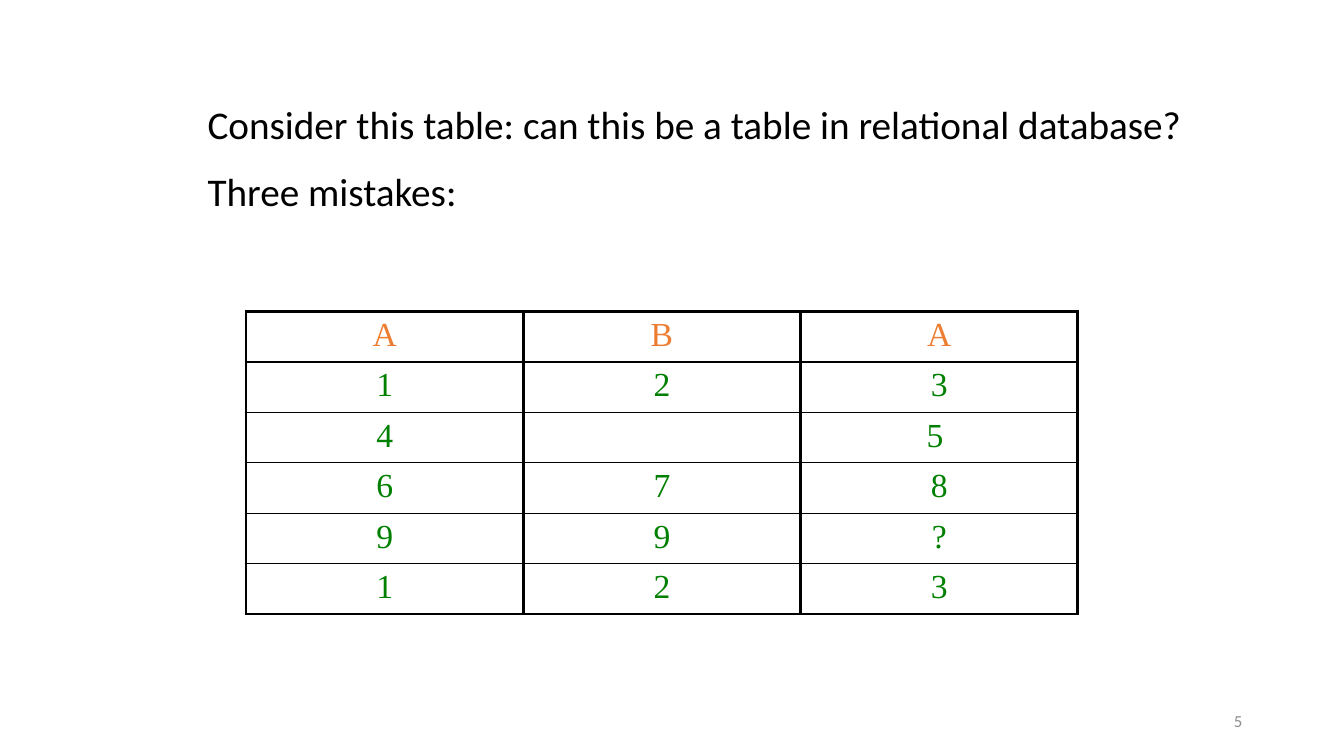
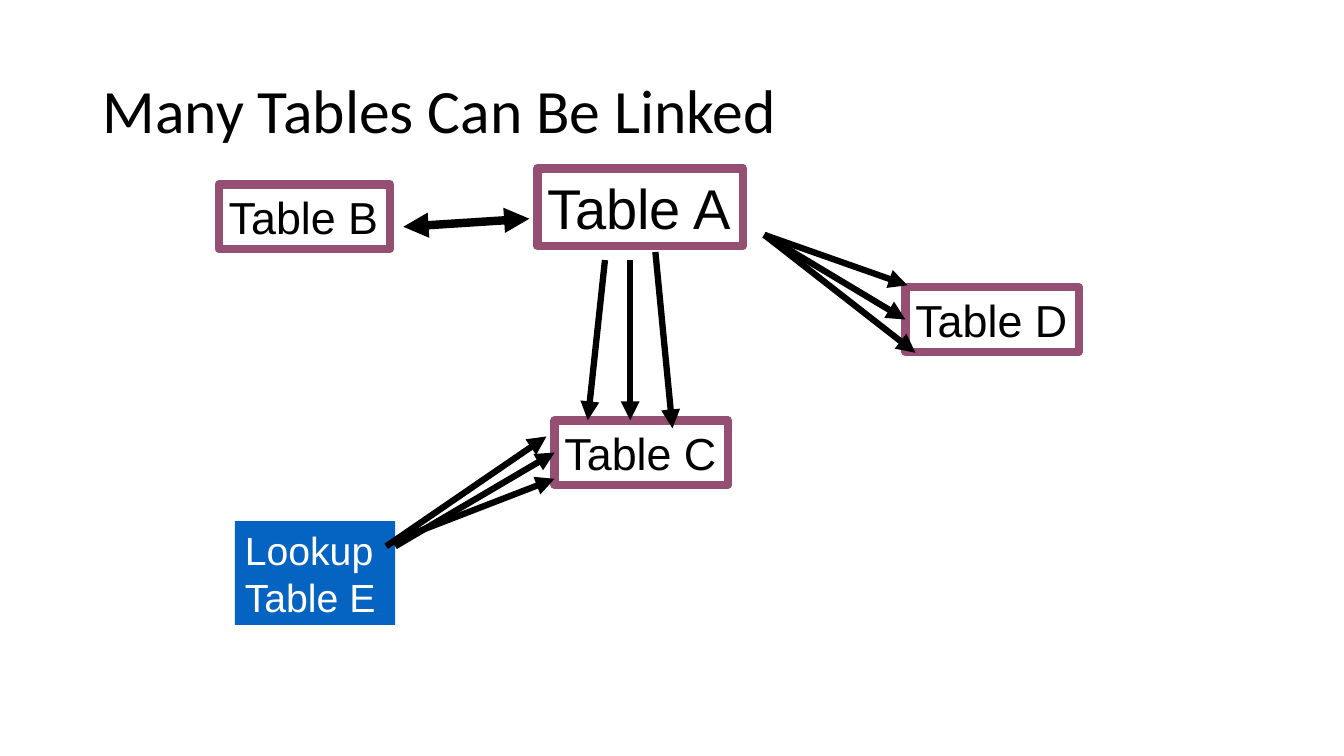
from dataclasses import dataclass
from typing import Optional

import pptx
import pptx.dml.color
import pptx.enum.shapes
import pptx.enum.text
import pptx.oxml
import pptx.oxml.ns
import pptx.util

EMU_PER_PX = 9144  # 100 px to the inch
COLOURS = {
    "black": "000000",
    "white": "FFFFFF",
    "grey": "8C8C8C",
    "orange": "ED7D31",
    "green": "008000",
    "plum": "954F72",
    "blue": "0563C1",
}
BODY_FONT, TABLE_FONT, DIAGRAM_FONT = "Calibri", "Times New Roman", "Arial"
THICK, THIN = 2.25, 1
LEFT_SIDE = 1

ALIGN = pptx.enum.text.PP_ALIGN
ANCHOR = pptx.enum.text.MSO_ANCHOR


@dataclass(frozen=True)
class Style:
    size: int
    colour: str = "black"
    font: str = BODY_FONT
    align: ALIGN = ALIGN.LEFT
    line_spacing: Optional[float] = None
    gap: int = 0  # points between paragraphs


@dataclass(frozen=True)
class Box:
    text: str
    left: int
    top: int
    width: int
    height: int
    size: int = 32
    fill: str = "white"
    border: Optional[str] = "plum"
    ink: str = "black"


@dataclass(frozen=True)
class Arrow:
    start: tuple[int, int]
    end: tuple[int, int]
    weight: float = 4.5
    two_way: bool = False
    target: Optional[str] = None  # box whose left side the arrow joins


TITLE = Style(44, line_spacing=0.9)
BODY = Style(28, gap=14)
PAGE_NUMBER = Style(12, "grey", align=ALIGN.RIGHT)
HEADER_CELL = Style(24, "orange", TABLE_FONT, ALIGN.CENTER)
VALUE_CELL = Style(24, "green", TABLE_FONT, ALIGN.CENTER)

TABLE_ROWS = [
    ("A", "B", "A"),
    ("1", "2", "3"),
    ("4", "", "5 "),
    ("6", "7", "8"),
    ("9", "9", "?"),
    ("1", "2", "3"),
]
COLUMN_WIDTH, ROW_HEIGHT = 275, 50

BOXES = [
    Box("Table A", 533, 167, 204, 77, size=40),
    Box("Table B", 217, 183, 170, 64),
    Box("Table C", 550, 417, 172, 64),
    Box("Table D", 898, 285, 172, 64),
    Box("Lookup\nTable E", 233, 517, 159, 103, 28, "blue", None, "white"),
]
A_TO_D = (758, 233)
ARROWS = [
    Arrow((400, 225), (525, 217), weight=6, two_way=True),
    Arrow(A_TO_D, (900, 283)),
    Arrow(A_TO_D, (900, 317), target="Table D"),
    Arrow(A_TO_D, (908, 350)),
    Arrow((600, 258), (583, 417)),
    Arrow((625, 258), (625, 417)),
    Arrow((650, 250), (667, 425)),
    Arrow((392, 542), (550, 450), target="Table C"),
    Arrow((400, 533), (550, 475)),
    Arrow((383, 542), (542, 433)),
]


def px(*lengths: int) -> list[pptx.util.Emu]:
    """Turn pixel lengths into EMU."""
    return [pptx.util.Emu(length * EMU_PER_PX) for length in lengths]


def rgb(name: str) -> pptx.dml.color.RGBColor:
    return pptx.dml.color.RGBColor.from_string(COLOURS[name])


def write(frame, text: str, style: Style) -> None:
    """Fill a text frame, one paragraph for each line of text."""
    frame.text = text
    for index, para in enumerate(frame.paragraphs):
        para.alignment = style.align
        para.font.name = style.font
        para.font.size = pptx.util.Pt(style.size)
        para.font.color.rgb = rgb(style.colour)
        if style.line_spacing:
            para.line_spacing = style.line_spacing
        if index and style.gap:
            para.space_before = pptx.util.Pt(style.gap)


def add_text(page, text: str, place: tuple[int, int, int, int], style: Style,
             anchor: ANCHOR = ANCHOR.TOP) -> None:
    frame = page.shapes.add_textbox(*px(*place)).text_frame
    frame.word_wrap = True
    frame.vertical_anchor = anchor
    write(frame, text, style)


def set_borders(cell, top: float, bottom: float) -> None:
    """Draw black borders with thick sides and the given top and bottom points."""
    properties = cell._tc.get_or_add_tcPr()
    for side, points in (("L", THICK), ("R", THICK), ("T", top), ("B", bottom)):
        width = int(pptx.util.Pt(points))
        properties.append(pptx.oxml.parse_xml(
            f'<a:ln{side} {pptx.oxml.ns.nsdecls("a")} w="{width}"><a:solidFill>'
            f'<a:srgbClr val="{COLOURS["black"]}"/></a:solidFill></a:ln{side}>'))


def add_table(page, left: int, top: int, rows: list[tuple[str, ...]]) -> None:
    row_count, column_count = len(rows), len(rows[0])
    place = px(left, top, column_count * COLUMN_WIDTH, row_count * ROW_HEIGHT)
    table = page.shapes.add_table(row_count, column_count, *place).table
    table.first_row = table.horz_banding = False
    last = row_count - 1
    for row_index, values in enumerate(rows):
        for column_index, value in enumerate(values):
            cell = table.cell(row_index, column_index)
            write(cell.text_frame, value, VALUE_CELL if row_index else HEADER_CELL)
            set_borders(cell, THIN if row_index else THICK,
                        THIN if row_index < last else THICK)
            cell.fill.background()


def add_box(page, box: Box):
    shape = page.shapes.add_shape(
        pptx.enum.shapes.MSO_SHAPE.RECTANGLE,
        *px(box.left, box.top, box.width, box.height))
    shape.shadow.inherit = False
    shape.fill.solid()
    shape.fill.fore_color.rgb = rgb(box.fill)
    if box.border:
        shape.line.color.rgb = rgb(box.border)
        shape.line.width = pptx.util.Pt(6)
    else:
        shape.line.fill.background()
    frame = shape.text_frame
    frame.word_wrap = False
    frame.auto_size = pptx.enum.text.MSO_AUTO_SIZE.SHAPE_TO_FIT_TEXT
    frame.vertical_anchor = ANCHOR.TOP
    write(frame, box.text, Style(box.size, box.ink, DIAGRAM_FONT))
    return shape


def add_arrow(page, arrow: Arrow, shapes: dict) -> None:
    line = page.shapes.add_connector(
        pptx.enum.shapes.MSO_CONNECTOR.STRAIGHT, *px(*arrow.start, *arrow.end))
    if arrow.target:
        line.end_connect(shapes[arrow.target], LEFT_SIDE)
    line.line.color.rgb = rgb("black")
    line.line.width = pptx.util.Pt(arrow.weight)
    outline = line.line._get_or_add_ln()
    for tag in ("headEnd", "tailEnd") if arrow.two_way else ("tailEnd",):
        outline.append(pptx.oxml.parse_xml(
            f'<a:{tag} {pptx.oxml.ns.nsdecls("a")} type="triangle"/>'))
    line._element.spPr.append(pptx.oxml.parse_xml(
        f'<a:effectLst {pptx.oxml.ns.nsdecls("a")}/>'))


def build_mistakes_page(page) -> None:
    add_text(page, "5", (942, 695, 300, 40), PAGE_NUMBER, ANCHOR.MIDDLE)
    add_text(page, "Consider this table: can this be a table in relational database?\n"
             "Three mistakes:", (196, 95, 999, 128), BODY)
    add_table(page, 244, 309, TABLE_ROWS)


def build_links_page(page) -> None:
    add_text(page, "Many Tables Can Be Linked", (92, 40, 1150, 145), TITLE,
             ANCHOR.MIDDLE)
    shapes = {box.text: add_box(page, box) for box in BOXES}
    for arrow in ARROWS:
        add_arrow(page, arrow, shapes)


def main() -> None:
    deck = pptx.Presentation()
    deck.slide_width, deck.slide_height = px(1333, 750)
    blank = deck.slide_layouts[6]
    for build in (build_mistakes_page, build_links_page):
        build(deck.slides.add_slide(blank))
    deck.save("out.pptx")


if __name__ == "__main__":
    main()
